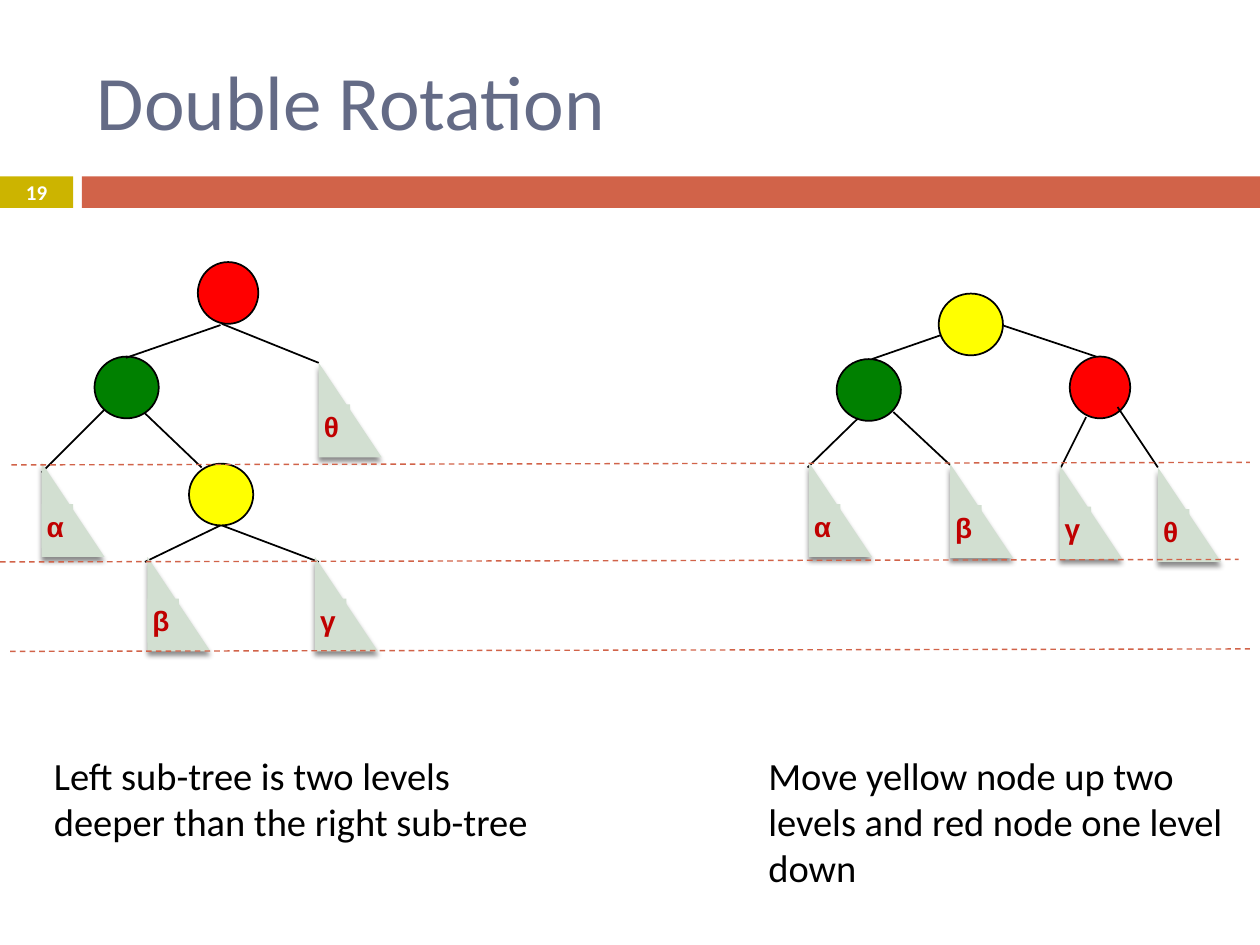
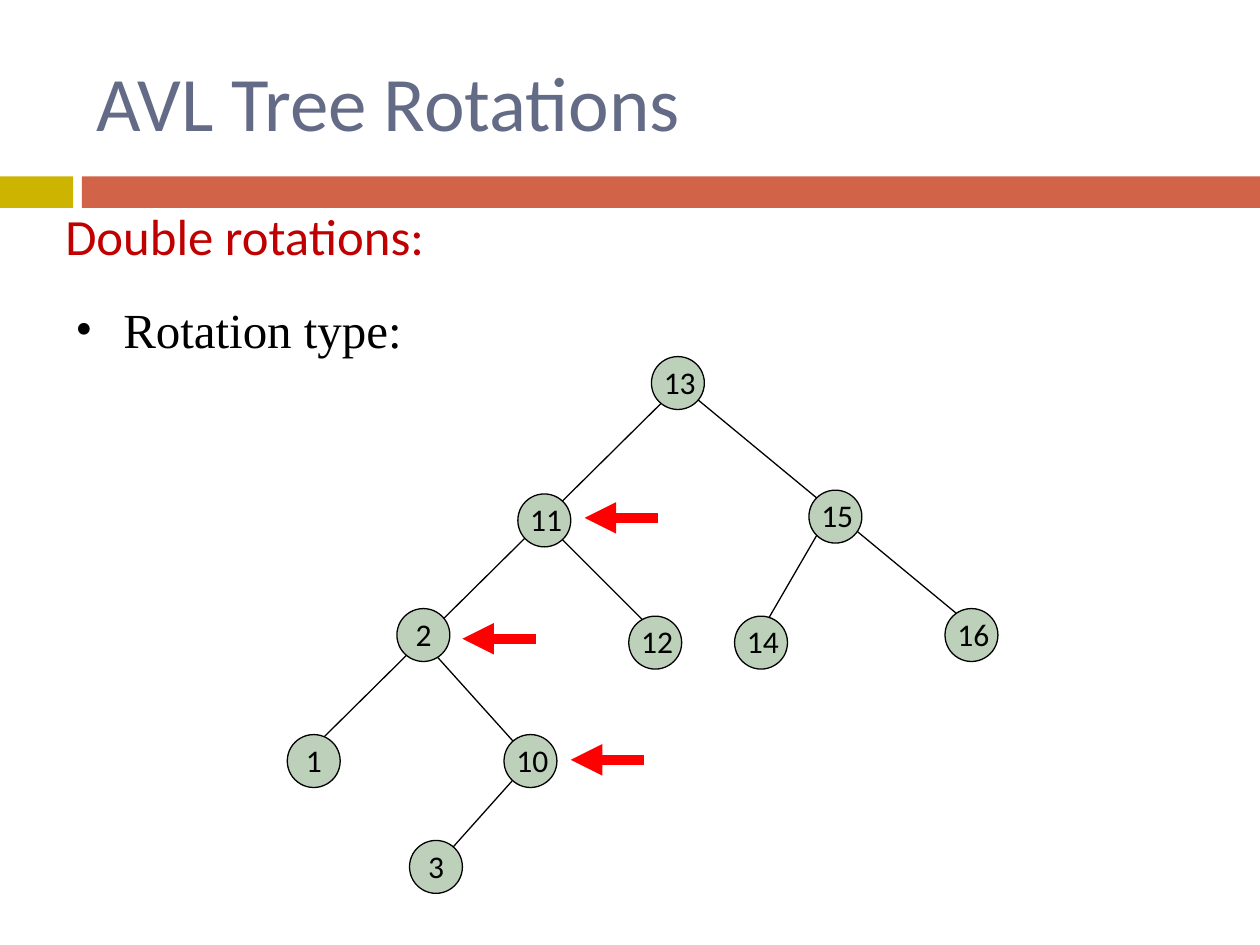
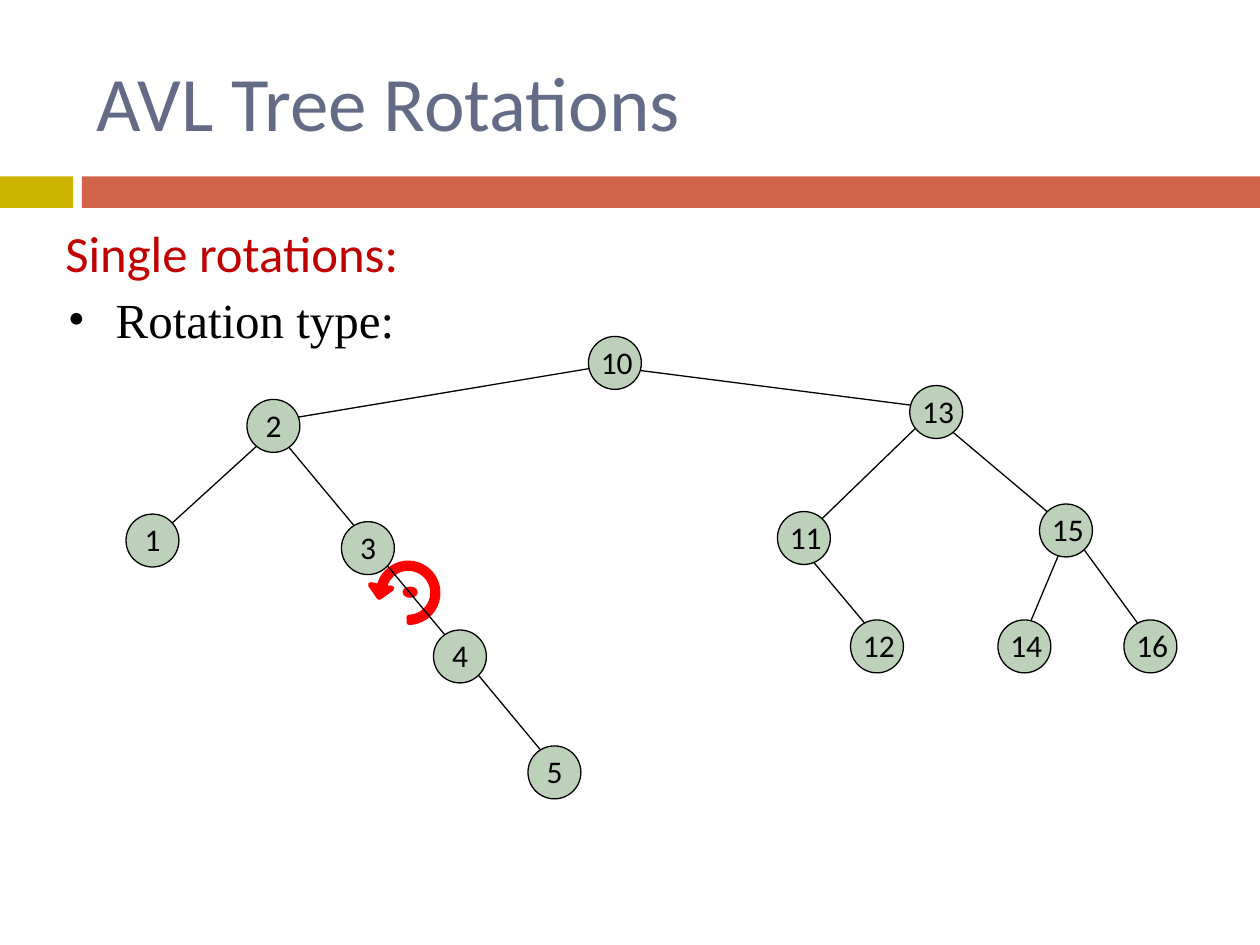
from math import cos, radians, sin

from lxml import etree
from pptx import Presentation
from pptx.dml.color import RGBColor
from pptx.enum.dml import MSO_LINE
from pptx.enum.shapes import MSO_CONNECTOR, MSO_SHAPE
from pptx.enum.text import MSO_ANCHOR, PP_ALIGN
from pptx.oxml.ns import qn
from pptx.util import Pt

# Scale: 100 px to the inch
PX = 9144

# Enum members
RECT, OVAL, TRIANGLE = MSO_SHAPE.RECTANGLE, MSO_SHAPE.OVAL, MSO_SHAPE.RIGHT_TRIANGLE
STRAIGHT, DASH = MSO_CONNECTOR.STRAIGHT, MSO_LINE.DASH
LEFT, CENTER = PP_ALIGN.LEFT, PP_ALIGN.CENTER
TOP, MIDDLE = MSO_ANCHOR.TOP, MSO_ANCHOR.MIDDLE

# Colours and fonts
BLACK = RGBColor(0x00, 0x00, 0x00)
WHITE = RGBColor(0xFF, 0xFF, 0xFF)
RED = RGBColor(0xFF, 0x00, 0x00)
GREEN = RGBColor(0x00, 0x80, 0x00)
YELLOW = RGBColor(0xFF, 0xFF, 0x00)
SLATE = RGBColor(0x64, 0x6B, 0x86)
GOLD = RGBColor(0xCC, 0xB4, 0x00)
BRICK = RGBColor(0xD1, 0x63, 0x49)
CRIMSON = RGBColor(0xC0, 0x00, 0x00)
PALE = RGBColor(0xD2, 0xDF, 0xD1)
SAGE = RGBColor(0xBC, 0xD0, 0xBA)
BODY, SERIF, SANS = "Calibri", "Times New Roman", "Arial"


class Slides:
    """Holds the deck, its style and the current page."""

    def __init__(self):
        self.deck = Presentation()
        self.deck.slide_width, self.deck.slide_height = 1000 * PX, 750 * PX
        self.page = None

    def start(self, title, title_box=(67, 17, 850, 125)):
        self.page = self.deck.slides.add_slide(self.deck.slide_layouts[6])
        self.shape(RECT, (0, 140, 58, 25), GOLD)
        self.shape(RECT, (65, 140, 935, 25), BRICK)
        self.text(title, title_box, 44, SLATE, anchor=MIDDLE)

    def paint(self, shape, fill, line, width):
        shape.shadow.inherit = False
        shape.fill.solid()
        shape.fill.fore_color.rgb = fill
        if line is None:
            shape.line.fill.background()
        else:
            shape.line.color.rgb = line
            shape.line.width = Pt(width)

    def shape(self, kind, area, fill, line=None, width=1):
        shape = self.page.shapes.add_shape(kind, *(v * PX for v in area))
        self.paint(shape, fill, line, width)
        return shape

    def outline(self, points, fill, width):
        """Closed polygon, with points in px."""
        start, *rest = [(x * PX, y * PX) for x, y in points]
        builder = self.page.shapes.build_freeform(*start, scale=1.0)
        builder.add_line_segments(rest, close=True)
        self.paint(builder.convert_to_shape(), fill, fill, width)

    def fill_text(self, box, text, size, color, font=BODY, bold=False,
                  align=LEFT, anchor=TOP, hang=0, bullet=None):
        frame = box.text_frame
        frame.word_wrap = True
        frame.vertical_anchor = anchor
        para = frame.paragraphs[0]
        para.text = text
        para.alignment = align
        if hang:
            props = para._p.get_or_add_pPr()
            props.set("marL", str(hang * PX))
            props.set("indent", str(-hang * PX))
            if bullet:
                etree.SubElement(props, qn("a:buFont")).set("typeface", SERIF)
                etree.SubElement(props, qn("a:buChar")).set("char", bullet)
        para.font.name, para.font.size, para.font.bold = font, Pt(size), bold
        para.font.color.rgb = color

    def text(self, text, area, size, color, **style):
        box = self.page.shapes.add_textbox(*(v * PX for v in area))
        self.fill_text(box, text, size, color, **style)

    def line(self, ends, color=BLACK, width=0.75, dash=None, arrow=False):
        line = self.page.shapes.add_connector(STRAIGHT, *(v * PX for v in ends))
        line.line.color.rgb = color
        line.line.width = Pt(width)
        if dash:
            line.line.dash_style = dash
        props = line.element.spPr
        if arrow:
            etree.SubElement(props.find(qn("a:ln")), qn("a:tailEnd")).set("type", "triangle")
        etree.SubElement(props, qn("a:effectLst"))

    def subtree(self, label, x, y):
        """Shadowed triangle that stands for a whole subtree."""
        triangle = self.shape(TRIANGLE, (x, y, 50, 75), PALE)
        effects = triangle.element.spPr.find(qn("a:effectLst"))
        shadow = etree.SubElement(effects, qn("a:outerShdw"), blurRad=str(Pt(3)),
                                  dist=str(Pt(2.4)), dir="5400000", rotWithShape="0")
        tint = etree.SubElement(shadow, qn("a:srgbClr"), val=str(BLACK))
        etree.SubElement(tint, qn("a:alpha"), val="45000")
        box = self.shape(RECT, (x, y + 33, 25, 35), PALE)
        frame = box.text_frame
        frame.margin_left = frame.margin_top = frame.margin_bottom = 4 * PX
        frame.margin_right = 9 * PX
        self.fill_text(box, label, 16, CRIMSON, font=SANS, bold=True,
                       align=CENTER, anchor=MIDDLE)

    def tree(self, edges, nodes):
        """Numbered tree: edges first, so that nodes cover their ends."""
        for ends in edges:
            self.line(ends)
        for key, (x, y) in nodes.items():
            self.shape(OVAL, (x, y, 42, 42), SAGE, BLACK, 0.75)
            inset = 5 if key < 10 else 0
            self.text(str(key), (x + inset, y, 50, 40), 18, BLACK)

    def rotation_heading(self, heading, heading_box, type_box):
        self.text(heading, heading_box, 29, CRIMSON, hang=35)
        self.text("Rotation type:", type_box, 28, BLACK, font=SERIF,
                  hang=38, bullet="•")


def double_rotation(slides):
    slides.start("Double Rotation", (67, 25, 892, 108))
    slides.text("19", (0, 139, 58, 27), 12, WHITE, bold=True,
                align=CENTER, anchor=MIDDLE)

    # Red and green nodes, branches, then yellow nodes on top
    for x, y, width, color in [(157, 208, 48, RED), (75, 283, 51, GREEN),
                               (849, 283, 48, RED), (664, 285, 51, GREEN)]:
        slides.shape(OVAL, (x, y, width, 49), color, BLACK)
    branches = [
        (175, 258, 100, 284), (176, 257, 253, 288), (83, 325, 33, 375),
        (115, 328, 160, 371), (175, 417, 115, 446), (176, 417, 253, 446),
        (767, 259, 692, 285), (792, 257, 870, 283), (681, 332, 641, 371),
        (709, 327, 754, 369), (862, 331, 842, 371), (887, 323, 919, 371),
    ]
    for ends in branches:
        slides.line(ends, width=1)
    for x, y in [(150, 368), (745, 233)]:
        slides.shape(OVAL, (x, y, 51, 49), YELLOW, BLACK)

    # Subtrees before and after the rotation
    before = [("α", 33, 367), ("β", 117, 442), ("γ", 250, 442), ("θ", 253, 288)]
    after = [("α", 642, 367), ("β", 754, 368), ("γ", 841, 369), ("θ", 919, 371)]
    for label, x, y in before + after:
        slides.subtree(label, x, y)

    # Captions and level lines
    slides.text("Left sub-tree is two levels deeper than the right sub-tree",
                (33, 592, 408, 84), 22, BLACK)
    slides.text("Move yellow node up two levels and red node one level down",
                (600, 592, 392, 121), 22, BLACK)
    for left, right, y in [(9, 992, 369), (0, 983, 446), (8, 992, 517)]:
        slides.line((left, y, right, y - 2), BRICK, 0.79, DASH)


def double_rotation_example(slides):
    slides.start("AVL Tree Rotations")
    slides.rotation_heading("Double rotations:", (42, 158, 933, 67), (50, 233, 458, 67))

    # Arrows at the nodes to rotate
    for x, y in [(464, 411), (453, 603), (367, 507)]:
        slides.line((x + 58, y, x, y), RED, 6, arrow=True)

    edges = [
        (417, 608, 350, 683), (250, 592, 539, 306), (335, 508, 425, 608),
        (426, 408, 526, 508), (658, 408, 600, 508), (533, 300, 775, 500),
    ]
    nodes = {
        1: (228, 583), 10: (400, 583), 13: (517, 283), 15: (642, 389),
        16: (750, 483), 11: (411, 392), 14: (583, 489), 2: (315, 483),
        12: (499, 489), 3: (325, 667),
    }
    slides.tree(edges, nodes)


def single_rotation_example(slides):
    slides.start("AVL Tree Rotations")
    slides.rotation_heading("Single rotations:", (42, 171, 383, 67), (44, 225, 429, 67))

    # Turning arrow around a pivot dot
    def arc(radius, angles):
        return [(324 + radius * cos(radians(a)), 470.5 + radius * sin(radians(a)))
                for a in angles]

    sweep = range(192, 449, 8)
    arrow_head = [(294, 464), (301, 474), (311, 467)]
    slides.outline(arc(19.5, sweep) + arc(23.5, reversed(sweep)) + arrow_head, RED, 3)
    slides.shape(OVAL, (320, 466, 11, 8), RED, RED, 0.75)

    edges = [
        (217, 342, 117, 433), (850, 422, 917, 514), (633, 431, 700, 511),
        (492, 292, 750, 325), (225, 333, 489, 289), (850, 417, 808, 517),
        (211, 333, 433, 600), (742, 325, 650, 414), (742, 331, 850, 422),
    ]
    nodes = {
        10: (467, 267), 13: (722, 306), 15: (825, 400), 2: (196, 317),
        11: (617, 406), 1: (100, 408), 3: (271, 414), 4: (344, 500),
        12: (675, 492), 14: (792, 492), 16: (892, 492), 5: (419, 592),
    }
    slides.tree(edges, nodes)


def main():
    slides = Slides()
    double_rotation(slides)
    double_rotation_example(slides)
    single_rotation_example(slides)
    slides.deck.save("out.pptx")


if __name__ == "__main__":
    main()
